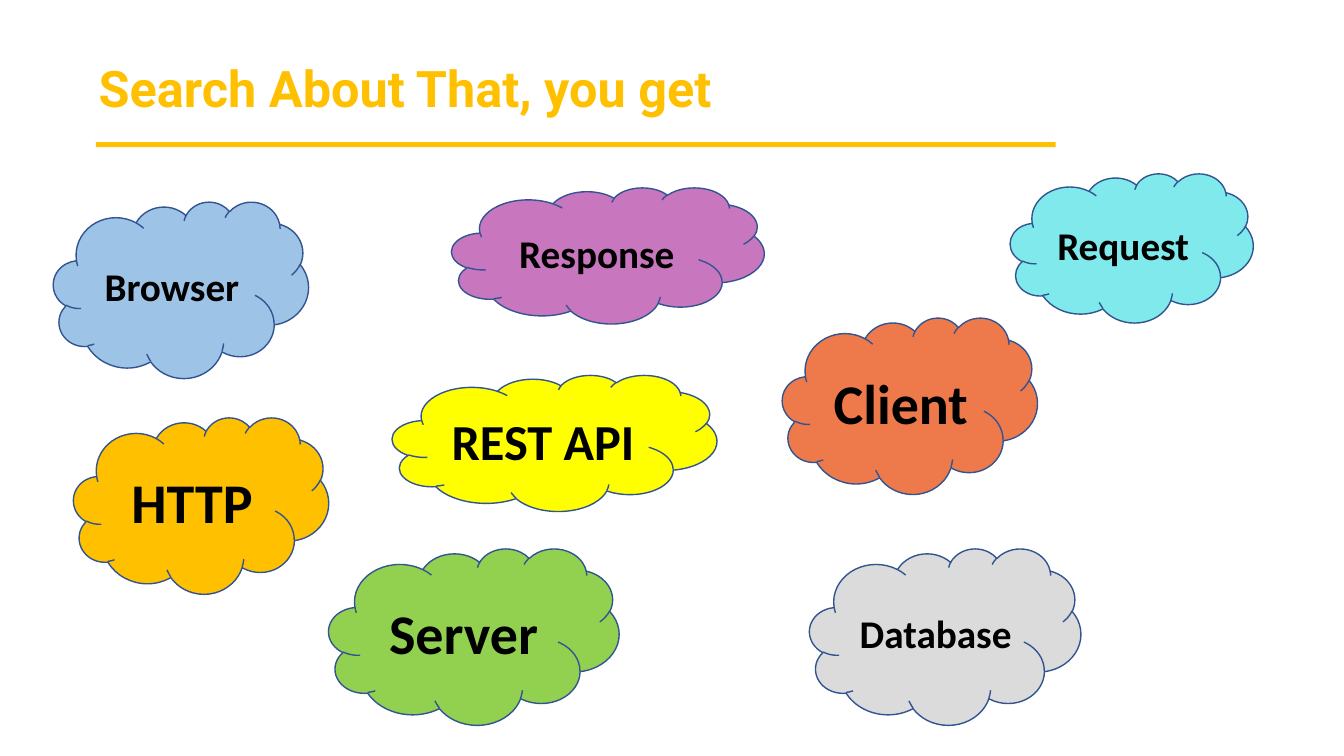
from dataclasses import dataclass

from pptx import Presentation
from pptx import util as u
from pptx.dml import color
from pptx.enum import shapes, text

PX = 9144


@dataclass(frozen=True)
class Theme:
    accent: str = "FFC000"
    outline: str = "325491"
    ink: str = "000000"
    heading_font: str = "Roboto"
    body_font: str = "Calibri"
    small: int = 28
    medium: int = 36
    large: int = 40


class SlideBuilder:
    def __init__(self, slide, theme):
        self.slide = slide
        self.theme = theme

    def style_text(self, paragraph, wording, font_name, size, ink):
        paragraph.text = wording
        font = paragraph.font
        font.name = font_name
        font.size = u.Pt(size)
        font.bold = True
        font.color.rgb = color.RGBColor.from_string(ink)

    def add_filled(self, kind, box, fill):
        shape = self.slide.shapes.add_shape(kind, *(length * PX for length in box))
        shape.shadow.inherit = False
        shape.fill.solid()
        shape.fill.fore_color.rgb = color.RGBColor.from_string(fill)
        return shape

    def add_title(self, box, wording):
        shape = self.slide.shapes.add_textbox(*(length * PX for length in box))
        frame = shape.text_frame
        frame.word_wrap = True
        frame.auto_size = text.MSO_AUTO_SIZE.SHAPE_TO_FIT_TEXT
        paragraph = frame.paragraphs[0]
        paragraph.space_after = u.Pt(6)
        theme = self.theme
        self.style_text(paragraph, wording, theme.heading_font, theme.medium, theme.accent)

    def add_rule(self, box):
        shape = self.add_filled(shapes.MSO_SHAPE.RECTANGLE, box, self.theme.accent)
        shape.line.fill.background()

    def add_cloud(self, wording, box, fill, size):
        shape = self.add_filled(shapes.MSO_SHAPE.CLOUD, box, fill)
        shape.line.color.rgb = color.RGBColor.from_string(self.theme.outline)
        shape.line.width = u.Pt(1)
        frame = shape.text_frame
        frame.vertical_anchor = text.MSO_ANCHOR.MIDDLE
        paragraph = frame.paragraphs[0]
        paragraph.alignment = text.PP_ALIGN.CENTER
        self.style_text(paragraph, wording, self.theme.body_font, size, self.theme.ink)


def main():
    theme = Theme()
    presentation = Presentation()
    presentation.slide_width = 1333 * PX
    presentation.slide_height = 750 * PX
    slide = presentation.slides.add_slide(presentation.slide_layouts[6])
    builder = SlideBuilder(slide, theme)

    builder.add_title((88, 52, 959, 71), "Search About That, you get")
    builder.add_rule((95, 141, 952, 5))

    clouds = [
        ("Client", (776, 315, 253, 175), "EE7A4C", theme.large),
        ("Response", (448, 186, 310, 135), "C876BE", theme.small),
        ("Request", (1002, 172, 241, 148), "80E9EC", theme.small),
        ("HTTP", (73, 414, 253, 175), theme.accent, theme.large),
        ("Database", (803, 544, 269, 175), "DBDBDB", theme.small),
        ("Browser", (53, 200, 253, 175), "9DC3E6", theme.small),
        ("Server", (326, 544, 288, 175), "92D050", theme.large),
        ("REST API", (389, 372, 322, 135), "FFFF00", theme.medium),
    ]
    for cloud in clouds:
        builder.add_cloud(*cloud)

    presentation.save("out.pptx")


if __name__ == "__main__":
    main()
